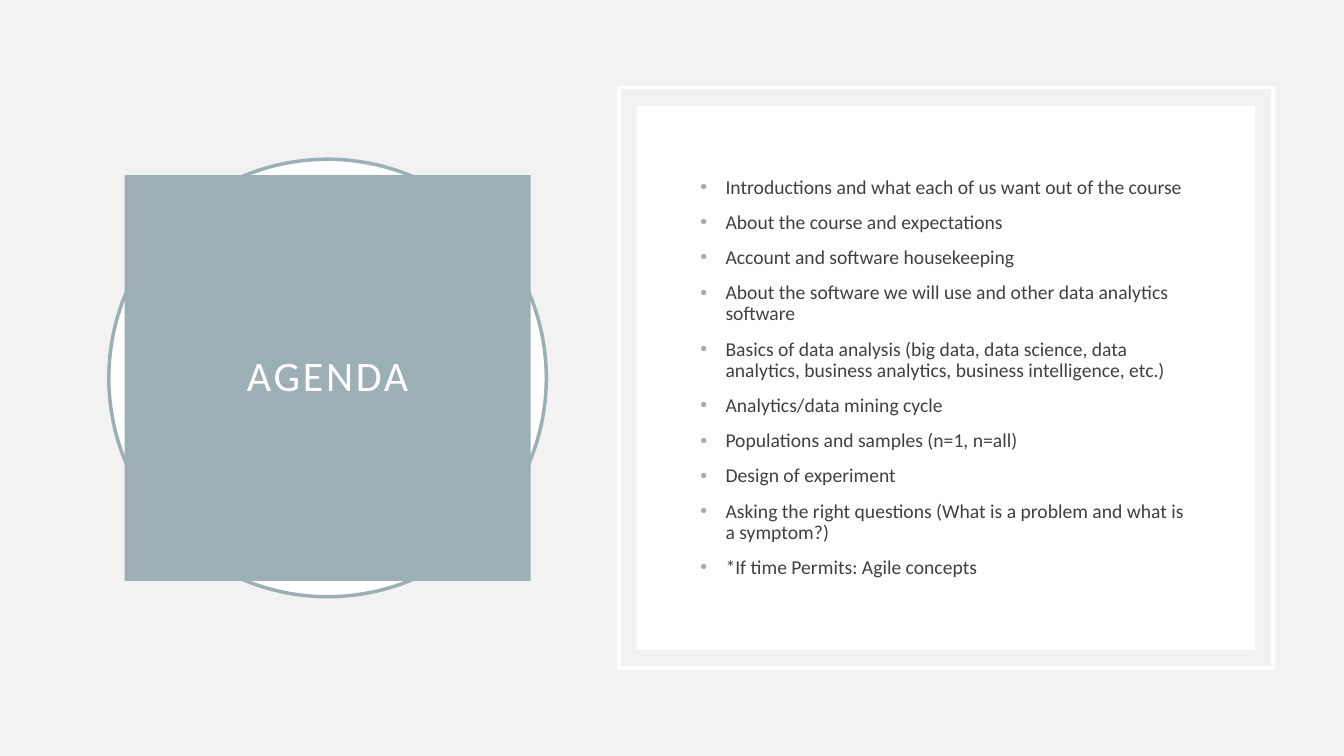
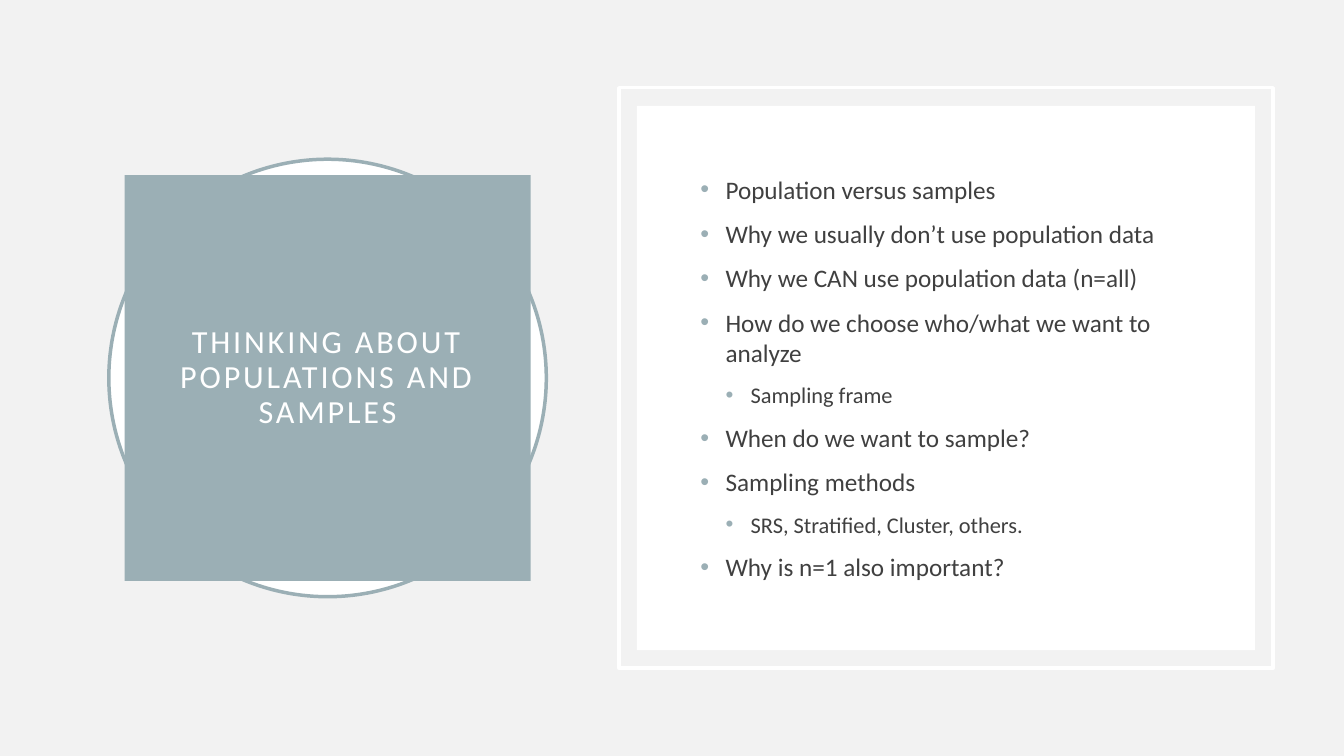
"""Build two course slides that share a title block and a framed bullet panel."""
from lxml import etree
from pptx import Presentation
from pptx import util as u
from pptx.dml.color import RGBColor
from pptx.enum import shapes, text
from pptx.oxml.ns import qn

COLORS = {"background": "F2F2F2", "accent": "9BAFB5", "white": "FFFFFF", "body": "404040"}
FONT = "Calibri"
WIDTH, HEIGHT = 960, 540
MIDDLE = HEIGHT / 2
TITLE_CENTER, PANEL_CENTER = 234, 675.7
INDENT = 18

AGENDA = [
    (0, "Introductions and what each of us want out of the course"),
    (0, "About the course and expectations"),
    (0, "Account and software housekeeping"),
    (0, "About the software we will use and other data analytics software"),
    (0, "Basics of data analysis (big data, data science, data analytics, "
        "business analytics, business intelligence, etc.)"),
    (0, "Analytics/data mining cycle"),
    (0, "Populations and samples (n=1, n=all)"),
    (0, "Design of experiment"),
    (0, "Asking the right questions (What is a problem and what is a symptom?)"),
    (0, "*If time Permits: Agile concepts"),
]
SAMPLING = [
    (0, "Population versus samples"),
    (0, "Why we usually don’t use population data"),
    (0, "Why we CAN use population data (n=all)"),
    (0, "How do we choose who/what we want to analyze"),
    (1, "Sampling frame"),
    (0, "When do we want to sample?"),
    (0, "Sampling methods"),
    (1, "SRS, Stratified, Cluster, others."),
    (0, "Why is n=1 also important?"),
]


def color(name):
    return RGBColor.from_string(COLORS[name])


def centered_box(center, width, height):
    return [u.Pt(value) for value in (center - width / 2, MIDDLE - height / 2, width, height)]


def add_block(slide, kind, box, fill=None, line=None):
    shape = slide.shapes.add_shape(kind, *box)
    shape.shadow.inherit = False
    if fill:
        shape.fill.solid()
        shape.fill.fore_color.rgb = color(fill)
    else:
        shape.fill.background()
    if line:
        shape.line.color.rgb = color(line)
        shape.line.width = u.Pt(2.5)
    else:
        shape.line.fill.background()
    return shape


def style_font(paragraph, size, color_name):
    paragraph.font.name = FONT
    paragraph.font.size = u.Pt(size)
    paragraph.font.color.rgb = color(color_name)


def add_title(slide, title, size):
    square = add_block(slide, shapes.MSO_SHAPE.RECTANGLE,
                       centered_box(TITLE_CENTER, 290, 290), fill="accent")
    frame = square.text_frame
    frame.word_wrap = True
    frame.vertical_anchor = text.MSO_ANCHOR.MIDDLE
    frame.margin_left = frame.margin_right = u.Pt(14.4)
    frame.margin_top = frame.margin_bottom = u.Pt(14.4)
    paragraph = frame.paragraphs[0]
    paragraph.alignment = text.PP_ALIGN.CENTER
    paragraph.line_spacing = 0.9
    run = paragraph.add_run()
    run.text = title
    run._r.get_or_add_rPr().set("spc", "200")
    style_font(paragraph, size, "white")


def add_bullet(paragraph, level):
    paragraph.level = level
    properties = paragraph._p.get_or_add_pPr()
    properties.set("marL", str(u.Pt(INDENT * (level + 1))))
    properties.set("indent", str(-u.Pt(INDENT)))
    bullet_color = etree.SubElement(properties, qn("a:buClr"))
    etree.SubElement(bullet_color, qn("a:srgbClr"), val=COLORS["accent"])
    etree.SubElement(properties, qn("a:buFont"), typeface="Arial")
    etree.SubElement(properties, qn("a:buChar"), char="•")


def add_bullets(slide, items, sizes, line_spacing):
    frame = slide.shapes.add_textbox(*centered_box(676.4, 366.5, 312.5)).text_frame
    frame.word_wrap = True
    frame.vertical_anchor = text.MSO_ANCHOR.MIDDLE
    for index, (level, wording) in enumerate(items):
        paragraph = frame.add_paragraph() if index else frame.paragraphs[0]
        paragraph.text = wording
        add_bullet(paragraph, level)
        paragraph.line_spacing = line_spacing
        if index:
            paragraph.space_before = u.Pt(10)
        style_font(paragraph, sizes[level], "body")


def add_slide(presentation, title, title_size, items, sizes, line_spacing):
    slide = presentation.slides.add_slide(presentation.slide_layouts[6])
    slide.background.fill.solid()
    slide.background.fill.fore_color.rgb = color("background")
    add_block(slide, shapes.MSO_SHAPE.OVAL,
              centered_box(TITLE_CENTER, 312.5, 312.5), fill="white", line="accent")
    add_block(slide, shapes.MSO_SHAPE.RECTANGLE,
              centered_box(PANEL_CENTER, 467.3, 414.7), line="white")
    add_block(slide, shapes.MSO_SHAPE.RECTANGLE,
              centered_box(PANEL_CENTER, 441.4, 388.8), fill="white")
    add_title(slide, title, title_size)
    add_bullets(slide, items, sizes, line_spacing)


def main():
    presentation = Presentation()
    presentation.slide_width, presentation.slide_height = u.Pt(WIDTH), u.Pt(HEIGHT)
    add_slide(presentation, "AGENDA", 30, AGENDA, (14,), 0.9)
    add_slide(presentation, "THINKING ABOUT POPULATIONS AND SAMPLES", 23,
              SAMPLING, (18, 16), 1.0)
    presentation.save("out.pptx")


if __name__ == "__main__":
    main()
